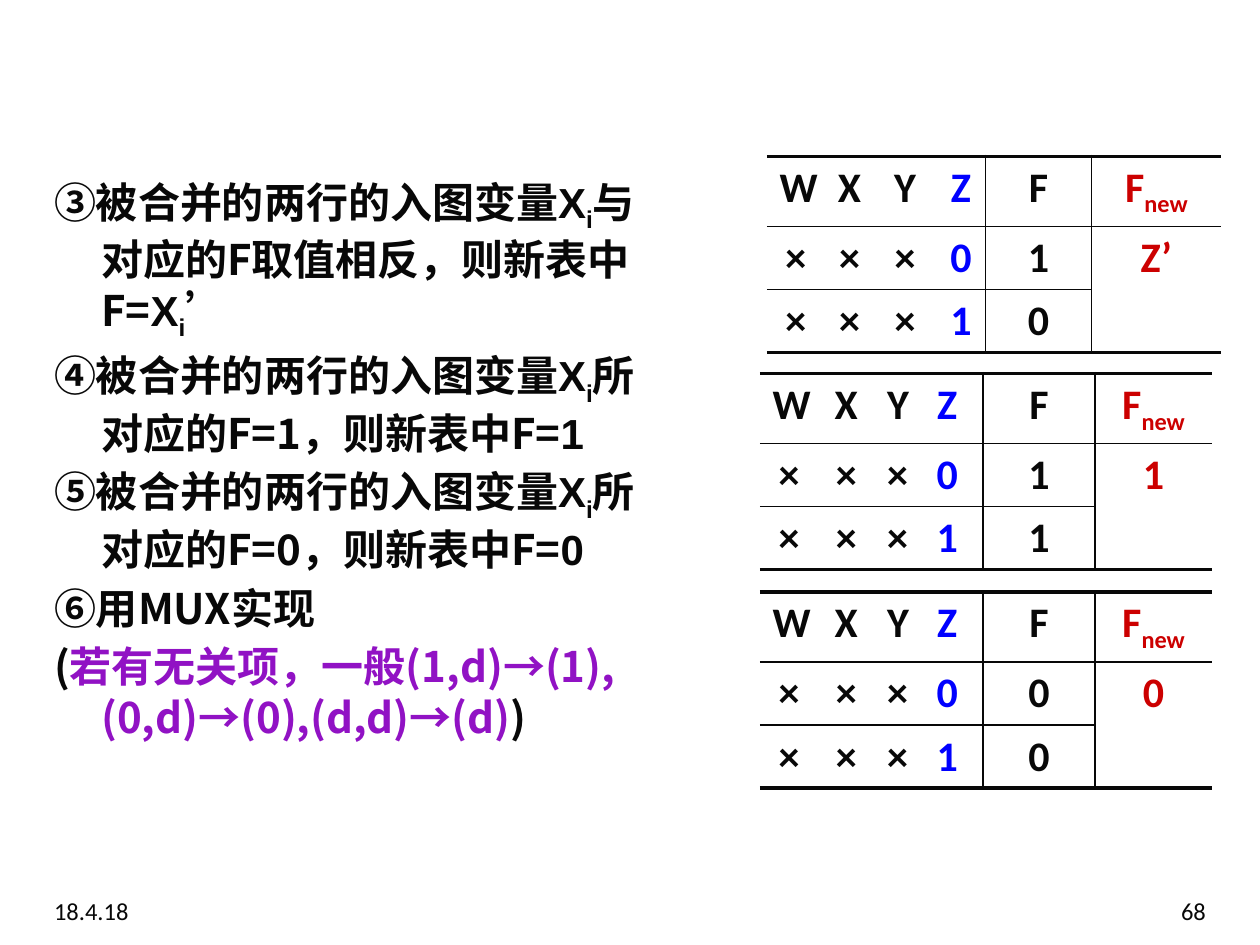
from lxml.etree import SubElement
from pptx import Presentation
from pptx.dml.color import RGBColor
from pptx.enum.text import PP_ALIGN
from pptx.oxml.ns import qn
from pptx.util import Cm, Pt

THEME = {
    "ink": "080808", "blue": "0000FF", "red": "CC0000", "violet": "9112C4",
    "body": 24, "foot": 14, "thin": 1, "thick": 2.25,
    "cjk": "Noto Sans CJK SC", "sans": "Arial", "table": "Calibri",
}

# Content: each run is (text, format)
SANS, SUB = {"face": "sans"}, {"face": "sans", "sub": True}
VAR = [("X", SANS), ("i", SUB)]
RULES = [
    [("③被合并的两行的入图变量", {}), *VAR,
     ("与对应的F取值相反，则新表中F=", {}), *VAR, ("’", SANS)],
    [("④被合并的两行的入图变量", {}), *VAR,
     ("所对应的F=1，则新表中F=", {}), ("1", SANS)],
    [("⑤被合并的两行的入图变量", {}), *VAR,
     ("所对应的F=0，则新表中F=", {}), ("0", SANS)],
    [("⑥用MUX实现", {})],
    [("(", {}),
     ("若有无关项，一般(1,d)→(1),(0,d)→(0),(d,d)→(d)", {"color": "violet"}),
     (")", {})],
]
HEADS = ["W", "X", "Y", "Z", "F", "F"]
WIDE = [1.17, 0.99, 1.25, 1, 2.13, 2.62]
SLIM = [1.17, 1.14, 0.74, 1.45, 2.25, 2.37]
# Left, top, column widths (cm), the two F values, the merged value
TABLES = [
    (15.46, 3.15, WIDE, "10", "Z’"),
    (15.32, 7.53, SLIM, "11", "1"),
    (15.32, 11.93, SLIM, "00", "0"),
]
FOOTS = [(0.84, "18.4.18", PP_ALIGN.LEFT), (18.21, "68", PP_ALIGN.RIGHT)]


def write(par, text, face="cjk", size="body", color="ink", bold=True, sub=False):
    run = par.add_run()
    run.text = text
    font = run.font
    font.name, font.size, font.bold = THEME[face], Pt(THEME[size]), bold
    font.color.rgb = RGBColor.from_string(THEME[color])
    props = run._r.get_or_add_rPr()
    SubElement(props, qn("a:ea"), typeface=THEME["cjk"])
    if sub:
        props.set("baseline", "-25000")


def add_box(slide, left, top, width, height):
    frame = slide.shapes.add_textbox(Cm(left), Cm(top), Cm(width), Cm(height)).text_frame
    frame.word_wrap = True
    return frame


def rule_cell(cell, row, col):
    """Draw the rules of one cell; a side without a weight stays empty."""
    thin, thick = THEME["thin"], THEME["thick"]
    merged = col == 5 and row > 0
    sides = {
        "L": thin if col > 3 else None,
        "R": thin if col in (3, 4) else None,
        "T": thick if row == 0 else None if merged and row == 2 else thin,
        "B": thick if row == 2 or merged else thin,
    }
    props = cell._tc.get_or_add_tcPr()
    for side, weight in sides.items():
        line = SubElement(props, qn(f"a:ln{side}"), w=str(Pt(weight or 0)))
        if weight:
            fill = SubElement(line, qn("a:solidFill"))
            SubElement(fill, qn("a:srgbClr"), val=THEME["ink"])
        else:
            SubElement(line, qn("a:noFill"))
    cell.fill.background()


def add_truth(slide, left, top, widths, vals, merged):
    rows = [HEADS] + [["×"] * 3 + [str(z), val, merged if z == 0 else ""]
                      for z, val in enumerate(vals)]
    frame = slide.shapes.add_table(3, 6, Cm(left), Cm(top), Cm(sum(widths)), Cm(3.81))
    table = frame.table
    table.first_row = table.horz_banding = False
    for col, width in zip(table.columns, widths):
        col.width = Cm(width)
    for row in table.rows:
        row.height = Cm(1)
    frame.height = Cm(3.81)
    table.cell(1, 5).merge(table.cell(2, 5))
    for r, texts in enumerate(rows):
        for c, text in enumerate(texts):
            cell = table.cell(r, c)
            rule_cell(cell, r, c)
            if not text:
                continue
            par = cell.text_frame.paragraphs[0]
            par.alignment = PP_ALIGN.CENTER
            color = {3: "blue", 5: "red"}.get(c, "ink")
            write(par, text, face="table", color=color)
            if (r, c) == (0, 5):
                write(par, "new", face="table", color=color, sub=True)


def main():
    deck = Presentation()
    deck.slide_width, deck.slide_height = Cm(25.4), Cm(19.05)
    slide = deck.slides.add_slide(deck.slide_layouts[6])

    # Date and page number
    for left, text, align in FOOTS:
        par = add_box(slide, left, 17.93, 6.35, 0.74).paragraphs[0]
        par.alignment = align
        write(par, text, face="table", size="foot", bold=False)

    # Merging rules
    frame = add_box(slide, 0.84, 3.43, 12.65, 13.51)
    for i, runs in enumerate(RULES):
        par = frame.add_paragraph() if i else frame.paragraphs[0]
        if i:
            par.space_before = Pt(4.8)
        props = par._p.get_or_add_pPr()
        props.set("marL", str(Cm(0.95)))
        props.set("indent", str(-Cm(0.95)))
        for text, form in runs:
            write(par, text, **form)

    # Truth tables
    for spot in TABLES:
        add_truth(slide, *spot)

    deck.save("out.pptx")


if __name__ == "__main__":
    main()
